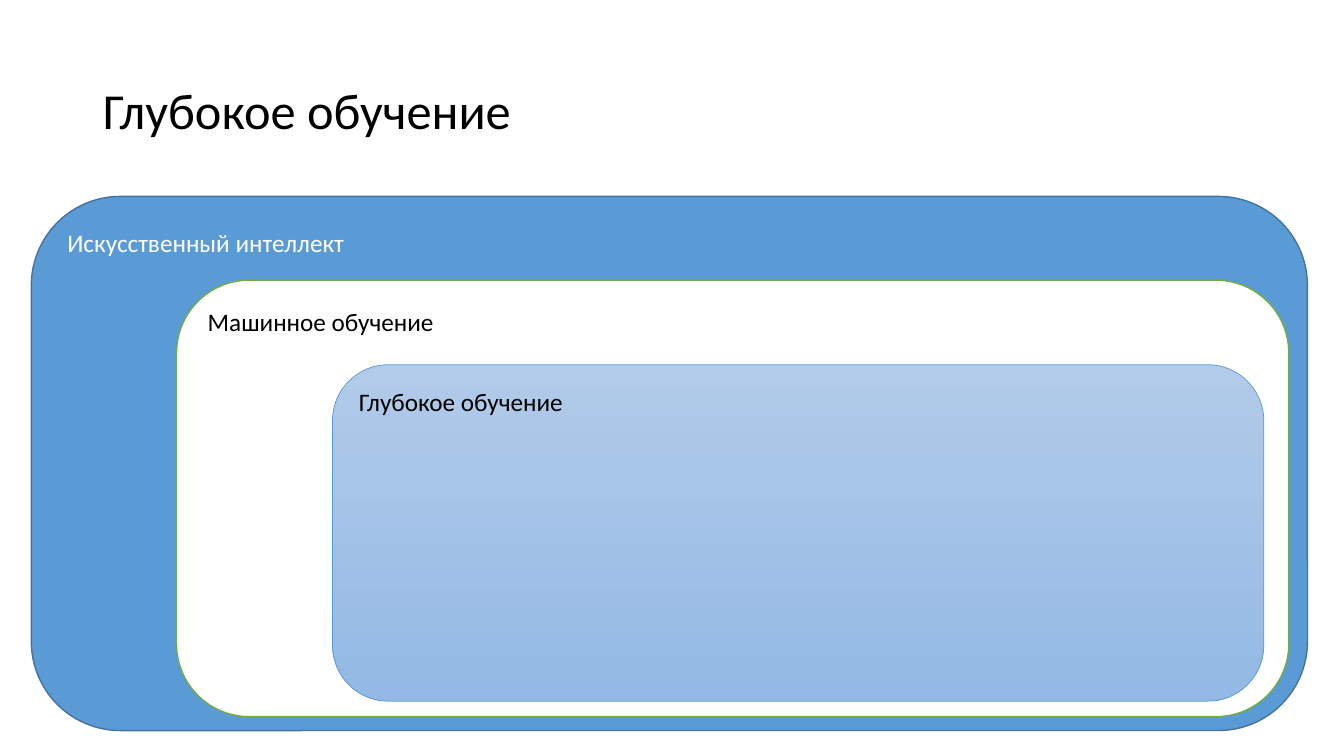
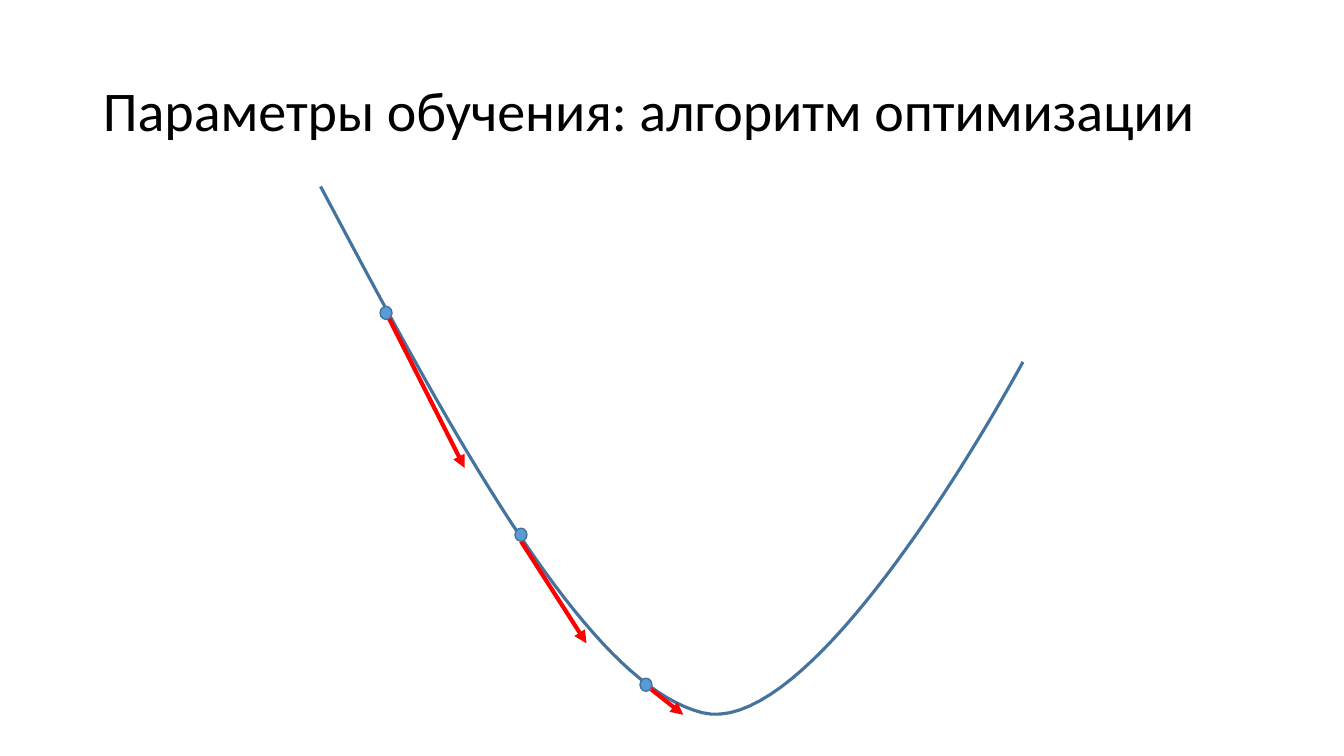
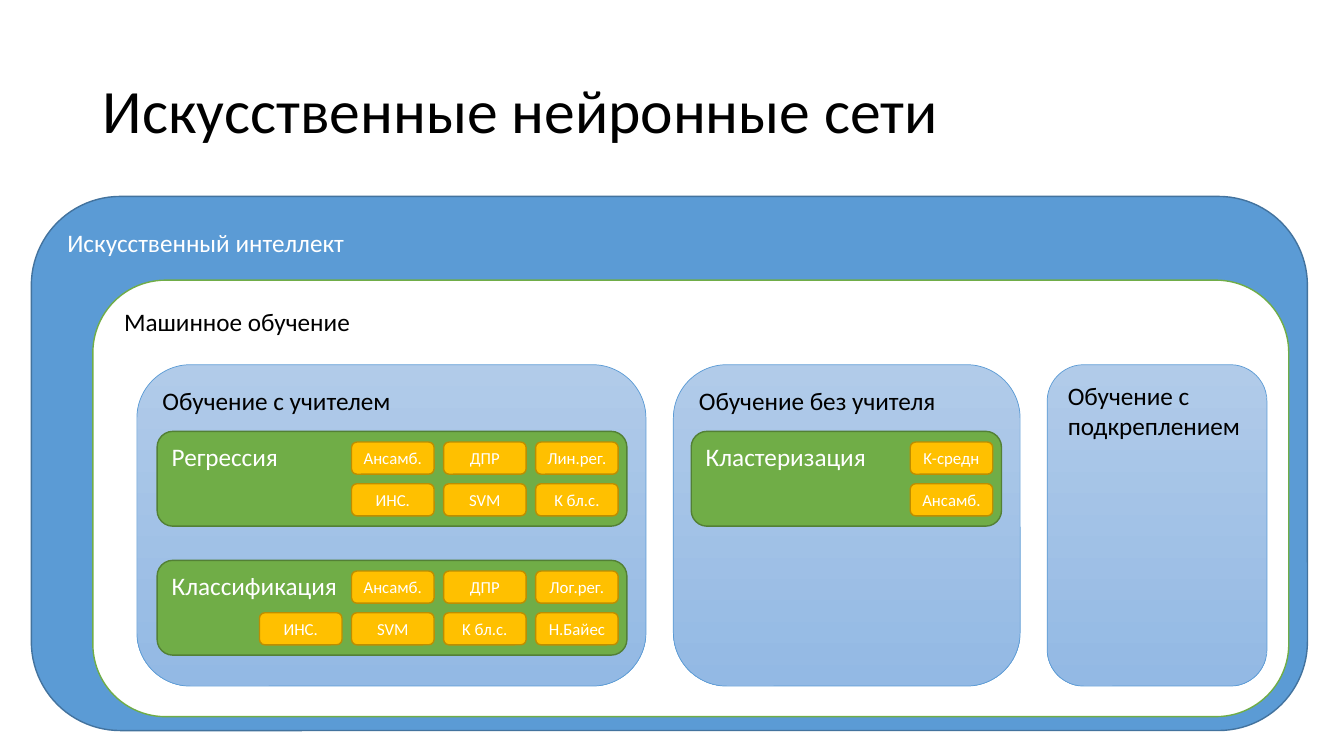
from dataclasses import dataclass

from lxml.etree import SubElement
from pptx import Presentation
from pptx.dml.color import RGBColor
from pptx.enum.shapes import MSO_CONNECTOR, MSO_SHAPE
from pptx.enum.text import MSO_ANCHOR, MSO_AUTO_SIZE, PP_ALIGN
from pptx.oxml.ns import qn
from pptx.util import Cm, Pt


@dataclass(frozen=True)
class Style:
    fill: tuple
    edge: str
    ink: str = "FFFFFF"
    width: float = 1
    size: int = 18


@dataclass(frozen=True)
class Theme:
    font: str = "Calibri"
    ink: str = "000000"
    curve: str = "43739E"
    arrow: str = "FF0000"
    field: Style = Style(("5B9BD5",), "43739E")
    frame: Style = Style(("FFFFFF",), "70AD47", "000000")
    panel: Style = Style(("B1CBE9", "93B9E4"), "5B9BD5", "000000", 0.5)
    task: Style = Style(("70AD47",), "538035")
    chip: Style = Style(("FFC000",), "BD8E00", size=12)


THEME = Theme()
TITLE = (2.34, 1.02, 29.21, 3.68)
FIELD = (0.79, 4.95, 32.16, 13.46)
FRAME_TOP, FRAME_RIGHT, FRAME_HIGH = 7.06, 32.48, 11
PANEL_TOP = 9.19
CHIP_WIDE, CHIP_HIGH = 2.08, 0.81
CHIP_STEP, ROW_STEP = 2.32, 1.05
DOT_WIDE, DOT_HIGH = 0.3, 0.33

PANELS = [
    ("Обучение с учителем", 3.45, 12.83),
    ("Обучение без учителя", 16.97, 8.74),
    ("Обучение с подкреплением", 26.39, 5.54),
]
TASKS = [
    ("Регрессия", 3.96, 10.87, 11.84,
     [["Ансамб.", "ДПР", "Лин.рег."], ["ИНС.", "SVM", "K бл.с."]]),
    ("Классификация", 3.96, 14.12, 11.84,
     [["Ансамб.", "ДПР", "Лог.рег."], ["ИНС.", "SVM", "K бл.с.", "Н.Байес"]]),
    ("Кластеризация", 17.42, 10.87, 7.82, [["K-средн"], ["Ансамб."]]),
]
CURVE = [
    [(8.08, 4.7), (11.4, 10.95), (14.76, 17.22), (17.7, 17.96)],
    [(17.7, 17.96), (20.65, 18.69), (25.78, 9.12), (25.78, 9.12)],
]
STEPS = [
    ((9.58, 7.72), (9.7, 7.82), (11.71, 11.79)),
    ((12.98, 13.31), (13.13, 13.64), (14.78, 16.21)),
    ((16.13, 17.09), (16.41, 17.37), (17.22, 18.01)),
]


def place(spot):
    return [Cm(side) for side in spot]


def tint(name):
    return RGBColor.from_string(name)


def write(part, text, size, ink):
    run = part.add_run()
    run.text = text
    run.font.name = THEME.font
    run.font.size = Pt(size)
    run.font.color.rgb = tint(ink)


def start(deck, title, size):
    slide = deck.slides.add_slide(deck.slide_layouts[5])
    head = slide.shapes.title
    head.left, head.top, head.width, head.height = place(TITLE)
    frame = head.text_frame
    frame.auto_size = MSO_AUTO_SIZE.NONE
    frame.vertical_anchor = MSO_ANCHOR.MIDDLE
    part = frame.paragraphs[0]
    part.alignment = PP_ALIGN.LEFT
    part.line_spacing = 0.9
    write(part, title, size, THEME.ink)
    return slide


def draw(slide, kind, spot, style):
    shape = slide.shapes.add_shape(kind, *place(spot))
    shape.shadow.inherit = False
    if len(style.fill) > 1:
        shape.fill.gradient()
        shape.fill.gradient_angle = 270
        for stop, name in zip(shape.fill.gradient_stops, style.fill):
            stop.color.rgb = tint(name)
    else:
        shape.fill.solid()
        shape.fill.fore_color.rgb = tint(style.fill[0])
    shape.line.color.rgb = tint(style.edge)
    shape.line.width = Pt(style.width)
    return shape


def box(slide, text, spot, style, anchor=MSO_ANCHOR.TOP, align=PP_ALIGN.LEFT):
    frame = draw(slide, MSO_SHAPE.ROUNDED_RECTANGLE, spot, style).text_frame
    frame.word_wrap = True
    frame.vertical_anchor = anchor
    part = frame.paragraphs[0]
    part.alignment = align
    write(part, text, style.size, style.ink)


def nest(slide, left):
    box(slide, "Искусственный интеллект", FIELD, THEME.field)
    spot = (left, FRAME_TOP, FRAME_RIGHT - left, FRAME_HIGH)
    box(slide, "Машинное обучение", spot, THEME.frame)


def task(slide, text, left, top, wide, rows):
    box(slide, text, (left, top, wide, 2.39), THEME.task)
    last = left + wide - CHIP_WIDE - 0.22
    for row, names in enumerate(rows):
        for back, name in enumerate(reversed(names)):
            spot = (last - back * CHIP_STEP, top + 0.27 + row * ROW_STEP,
                    CHIP_WIDE, CHIP_HIGH)
            box(slide, name, spot, THEME.chip, MSO_ANCHOR.MIDDLE, PP_ALIGN.CENTER)


def bend(knots, share):
    rest = 1 - share
    parts = (rest ** 3, 3 * rest ** 2 * share, 3 * rest * share ** 2, share ** 3)
    return tuple(Cm(sum(part * knot[axis] for part, knot in zip(parts, knots)))
                 for axis in (0, 1))


def curve(slide, count=40):
    dots = [bend(knots, step / count) for knots in CURVE for step in range(1, count + 1)]
    pen = slide.shapes.build_freeform(*place(CURVE[0][0]))
    pen.add_line_segments(dots, close=False)
    shape = pen.convert_to_shape()
    shape.shadow.inherit = False
    shape.fill.background()
    shape.line.color.rgb = tint(THEME.curve)
    shape.line.width = Pt(2.25)


def arrow(slide, tail, tip):
    line = slide.shapes.add_connector(MSO_CONNECTOR.STRAIGHT, *place(tail + tip))
    line.line.color.rgb = tint(THEME.arrow)
    line.line.width = Pt(3)
    props = line._element.spPr
    SubElement(props.find(qn("a:ln")), qn("a:tailEnd"), type="triangle")
    SubElement(props, qn("a:effectLst"))


def depth(deck):
    slide = start(deck, "Глубокое обучение", 36)
    nest(slide, 4.45)
    box(slide, "Глубокое обучение", (8.38, PANEL_TOP, 23.47, 8.48), THEME.panel)


def descent(deck):
    slide = start(deck, "Параметры обучения: алгоритм оптимизации", 40)
    curve(slide)
    for dot, tail, tip in STEPS:
        arrow(slide, tail, tip)
        draw(slide, MSO_SHAPE.OVAL, dot + (DOT_WIDE, DOT_HIGH), THEME.field)


def neural(deck):
    slide = start(deck, "Искусственные нейронные сети", 44)
    nest(slide, 2.34)
    for text, left, wide in PANELS:
        box(slide, text, (left, PANEL_TOP, wide, 8.1), THEME.panel)
    for item in TASKS:
        task(slide, *item)


def main():
    deck = Presentation()
    deck.slide_width, deck.slide_height = Cm(33.87), Cm(19.05)
    depth(deck)
    descent(deck)
    neural(deck)
    deck.save("out.pptx")


main()
